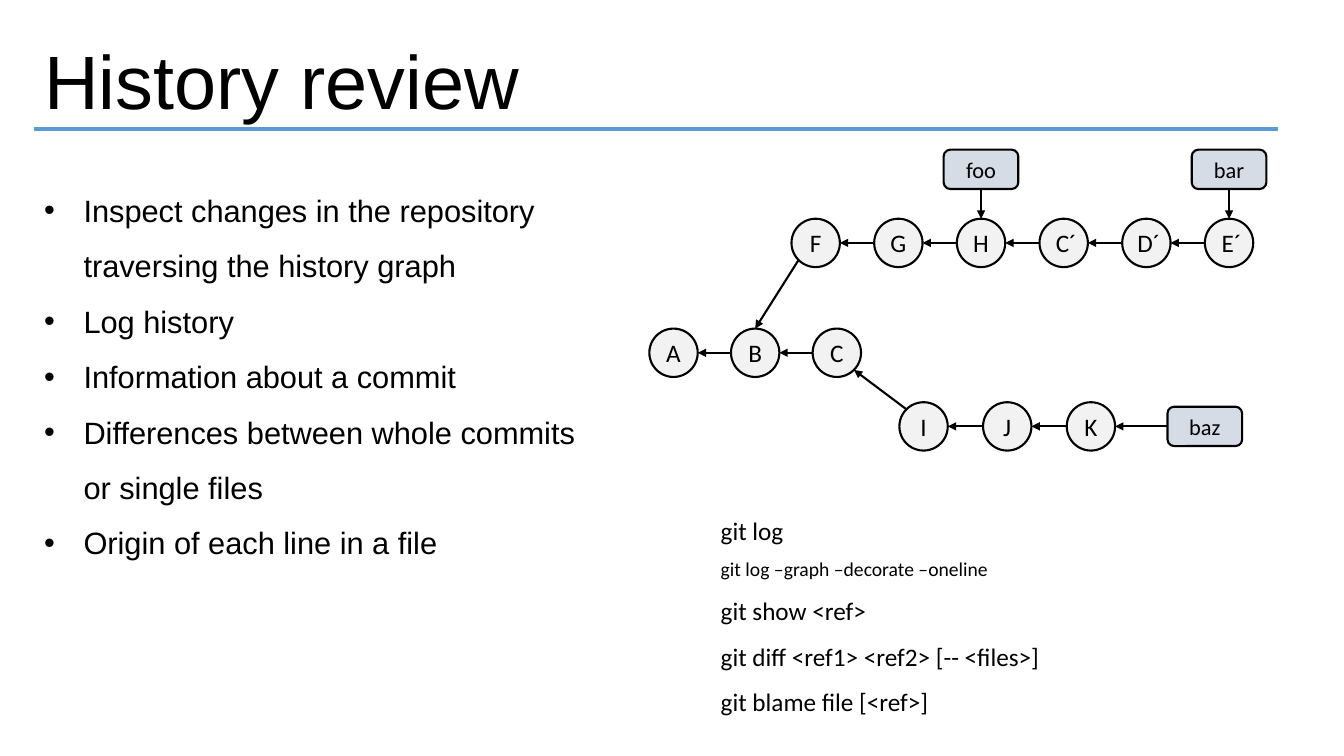
"""Build the History review slide with its commit graph."""
from math import sqrt

from lxml.etree import SubElement
from pptx import Presentation
from pptx.dml.color import RGBColor
from pptx.enum.shapes import MSO_CONNECTOR, MSO_SHAPE
from pptx.enum.text import MSO_ANCHOR, MSO_AUTO_SIZE, PP_ALIGN
from pptx.oxml.ns import qn
from pptx.util import Inches, Pt

COLORS = {"ink": "000000", "rule": "5B9BD5", "commit": "F2F2F2", "branch": "D6DCE5"}
TITLE = "History review"
TOPICS = [
    ["Inspect changes in the repository", "traversing the history graph"],
    ["Log history"],
    ["Information about a commit"],
    ["Differences between whole commits", "or single files"],
    ["Origin of each line in a file"],
]
COMMANDS = [
    ("git log", 18),
    ("git log –graph –decorate –oneline", 14),
    ("git show <ref>", 18),
    ("git diff <ref1> <ref2> [-- <files>]", 18),
    ("git blame file [<ref>]", 18),
]
COMMIT_ROWS = [
    (["A", "B", "C"], 6.68, 3.5, 0.81),
    (["I", "J", "K"], 9.16, 4.23, 0.83),
    (["F", "G", "H", "C´", "D´", "E´"], 8.09, 2.41, 0.82),
]
BRANCHES = [("foo", 9.73, 1.68), ("bar", 12.19, 1.68), ("baz", 11.95, 4.23)]
COMMIT_SIZE = (0.48, 0.48)
BRANCH_SIZE = (0.74, 0.39)

DIAGONAL = 1 / sqrt(2)
LEFT, RIGHT, TOP, BOTTOM = (-1, 0), (1, 0), (0, -1), (0, 1)
UPPER_LEFT = (-DIAGONAL, -DIAGONAL)
LOWER_LEFT = (-DIAGONAL, DIAGONAL)
LOWER_RIGHT = (DIAGONAL, DIAGONAL)
LINKS = [
    ("F", LOWER_LEFT, "B", TOP),
    ("I", UPPER_LEFT, "C", LOWER_RIGHT),
    ("foo", BOTTOM, "H", TOP),
    ("bar", BOTTOM, "E´", TOP),
    ("baz", LEFT, "K", RIGHT),
]


def rgb(name):
    return RGBColor.from_string(COLORS[name])


def add_span(para, text, size, face):
    span = para.add_run()
    span.text = text
    span.font.size = Pt(size)
    span.font.name = face
    span.font.color.rgb = rgb("ink")


def add_text_box(page, left, top, width, height, wrap):
    box = page.shapes.add_textbox(*map(Inches, (left, top, width, height)))
    box.text_frame.word_wrap = wrap
    box.text_frame.auto_size = MSO_AUTO_SIZE.SHAPE_TO_FIT_TEXT
    return box.text_frame


def next_para(frame, index):
    return frame.add_paragraph() if index else frame.paragraphs[0]


def add_line(page, start, end, color, width, arrow=False):
    line = page.shapes.add_connector(MSO_CONNECTOR.STRAIGHT, *map(Inches, start + end))
    line.line.color.rgb = rgb(color)
    line.line.width = Pt(width)
    if arrow:
        SubElement(line.line._get_or_add_ln(), qn("a:tailEnd"), type="triangle")
    SubElement(line._element.spPr, qn("a:effectLst"))


def add_node(page, preset, label, center, size, fill, text_size):
    left, top = (middle - length / 2 for middle, length in zip(center, size))
    node = page.shapes.add_shape(preset, *map(Inches, (left, top, *size)))
    node.shadow.inherit = False
    node.fill.solid()
    node.fill.fore_color.rgb = rgb(fill)
    node.line.color.rgb = rgb("ink")
    node.line.width = Pt(1.5)
    frame = node.text_frame
    frame.word_wrap = False
    frame.vertical_anchor = MSO_ANCHOR.MIDDLE
    frame.margin_left = Inches(0.05 * label.count("´"))
    frame.margin_right = 0
    para = frame.paragraphs[0]
    para.alignment = PP_ALIGN.CENTER
    add_span(para, label, text_size, "Calibri")
    return center, size


def edge_point(node, side):
    center, size = node
    return tuple(c + s / 2 * d for c, s, d in zip(center, size, side))


def add_topics(page):
    frame = add_text_box(page, 0.34, 1.67, 5.93, 3.99, True)
    for index, lines in enumerate(TOPICS):
        para = next_para(frame, index)
        para.line_spacing = 1.5
        props = para._p.get_or_add_pPr()
        props.set("marL", str(Inches(0.39)))
        props.set("indent", str(Inches(-0.39)))
        SubElement(props, qn("a:buFont"), typeface="Arial")
        SubElement(props, qn("a:buChar"), char="•")
        for number, text in enumerate(lines):
            if number:
                para.add_line_break()
            add_span(para, text, 22, "Arial")


def add_commands(page):
    frame = add_text_box(page, 7.05, 4.91, 3.41, 2.27, False)
    for index, (command, size) in enumerate(COMMANDS):
        para = next_para(frame, index)
        para.line_spacing = 1.5
        add_span(para, command, size, "Calibri")


def add_graph(page):
    nodes = {}
    links = list(LINKS)
    for labels, first, middle, step in COMMIT_ROWS:
        for index, label in enumerate(labels):
            center = (first + index * step, middle)
            nodes[label] = add_node(
                page, MSO_SHAPE.OVAL, label, center, COMMIT_SIZE, "commit", 18)
        links += [(child, LEFT, parent, RIGHT) for parent, child in zip(labels, labels[1:])]
    for label, *center in BRANCHES:
        nodes[label] = add_node(
            page, MSO_SHAPE.ROUNDED_RECTANGLE, label, center, BRANCH_SIZE, "branch", 16)
    for source, source_side, target, target_side in links:
        start = edge_point(nodes[source], source_side)
        end = edge_point(nodes[target], target_side)
        add_line(page, start, end, "ink", 1.5, arrow=True)


def main():
    deck = Presentation()
    deck.slide_width, deck.slide_height = Inches(13.33), Inches(7.5)
    page = deck.slides.add_slide(deck.slide_layouts[6])
    title = add_text_box(page, 0.34, 0.29, 5.51, 1.01, False)
    add_span(title.paragraphs[0], TITLE, 54, "Arial")
    add_line(page, (0.34, 1.28), (12.68, 1.28), "rule", 3)
    add_topics(page)
    add_graph(page)
    add_commands(page)
    deck.save("out.pptx")


if __name__ == "__main__":
    main()
